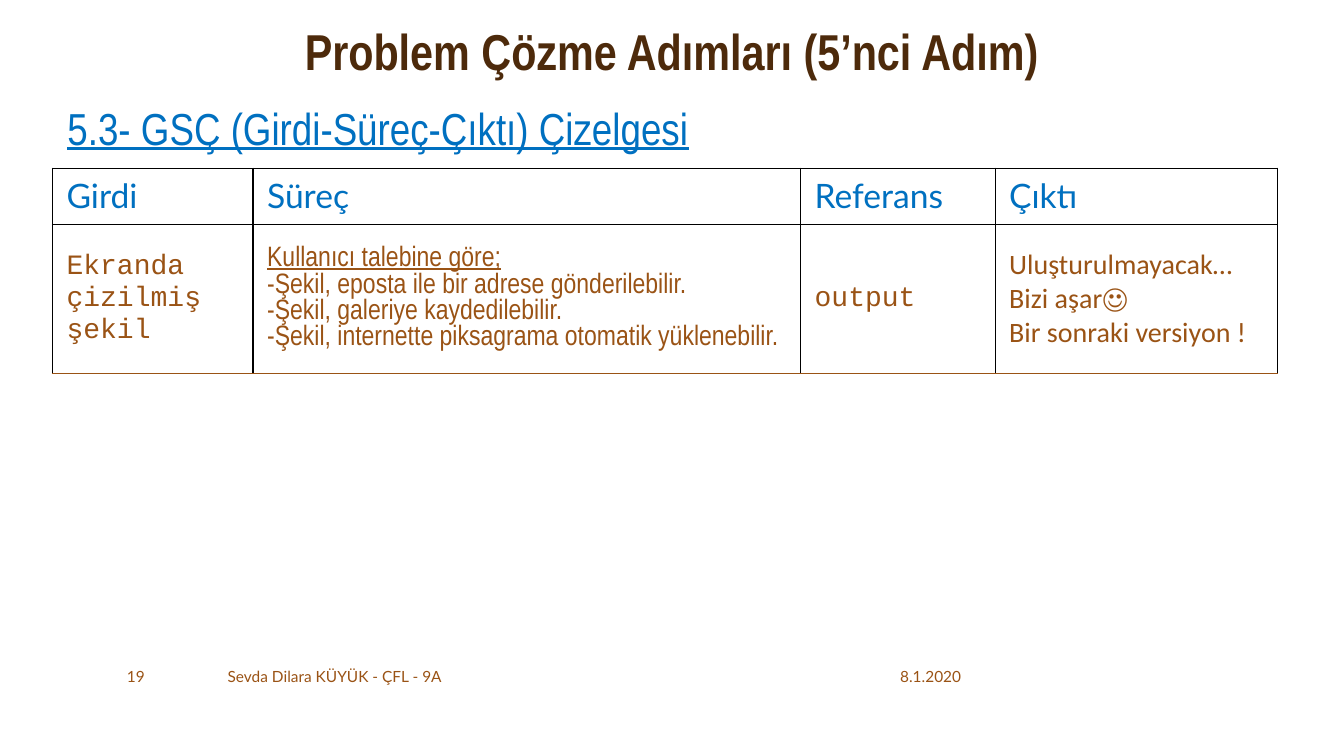
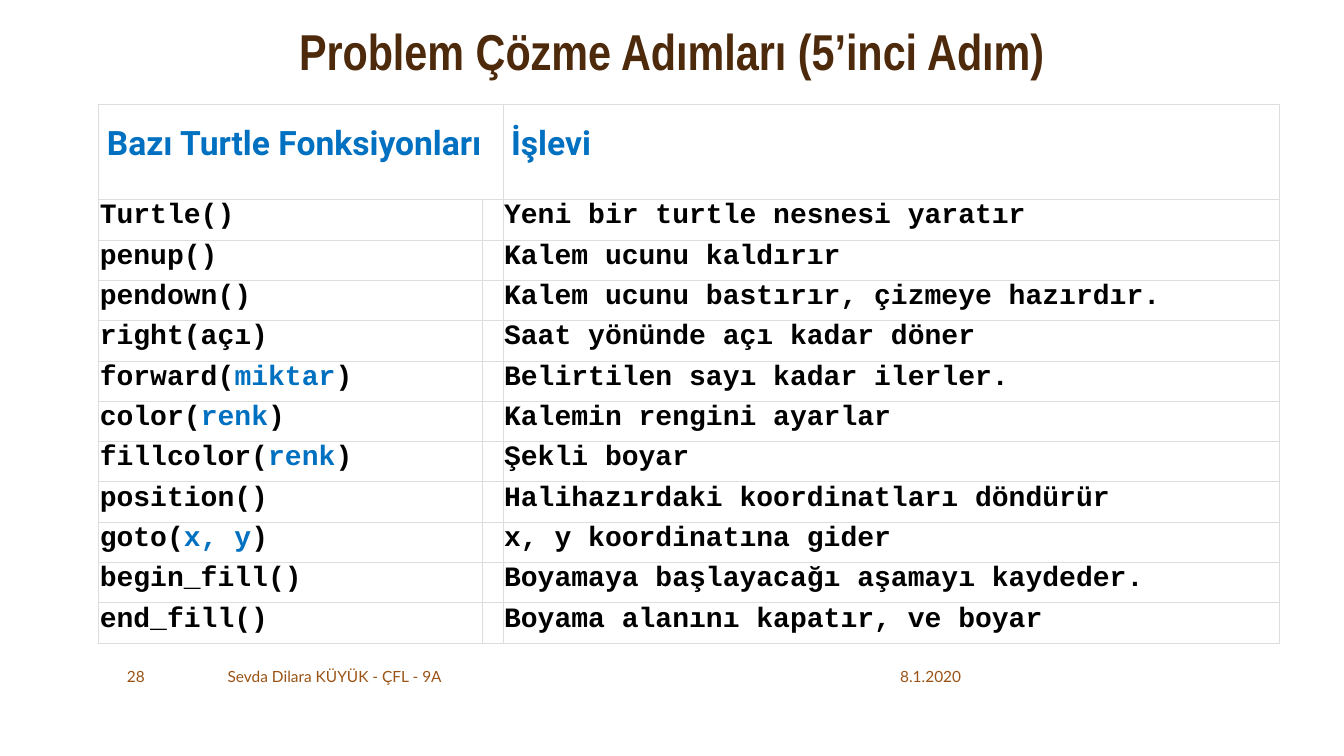
from lxml.etree import SubElement
from pptx import Presentation
from pptx.dml.color import RGBColor
from pptx.enum.text import MSO_ANCHOR as Anchor, PP_ALIGN as Align
from pptx.oxml.ns import qn
from pptx.util import Inches, Pt

COLOURS = {
    "title": "4D2A0B",
    "accent": "0070C0",
    "body": "9A5315",
    "code": "000000",
    "grid": "DDDDDD",
}
STYLES = {
    "title": {"name": "Arial Narrow", "size": Pt(36), "bold": True, "colour": "title"},
    "subtitle": {"name": "Arial Narrow", "size": Pt(32), "underline": True, "colour": "accent"},
    "footer": {"name": "Lato", "size": Pt(11), "colour": "body"},
    "chart_head": {"name": "Lato", "size": Pt(24), "colour": "accent"},
    "mono": {"name": "Courier New", "size": Pt(20), "colour": "body"},
    "narrow": {"name": "Arial Narrow", "size": Pt(20), "colour": "body"},
    "remark": {"name": "Calibri", "size": Pt(20), "colour": "body"},
    "function_head": {"name": "Roboto", "size": Pt(24), "bold": True, "colour": "accent"},
    "code": {"name": "Courier New", "size": Pt(20), "bold": True, "colour": "code"},
}
STYLES["lead"] = STYLES["narrow"] | {"underline": True}
STYLES["argument"] = STYLES["code"] | {"colour": "accent"}

TITLE_BOX = (0, 0.24, 13.33, 0.59)
SUBTITLE_BOX = (0.57, 0.95, 12, 0.72)
FOOTER_BOX = (1.16, 6.58, 9.2, 0.25)
AUTHOR = "Sevda Dilara KÜYÜK - ÇFL - 9A"
DATE = "8.1.2020"

IPO_HEADS = ["Girdi", "Süreç", "Referans", "Çıktı"]
IPO_CELLS = [
    [("Ekranda", "mono"), ("çizilmiş", "mono"), ("şekil", "mono")],
    [
        ("Kullanıcı talebine göre;", "lead"),
        ("-Şekil, eposta ile bir adrese gönderilebilir.", "narrow"),
        ("-Şekil, galeriye kaydedilebilir.", "narrow"),
        ("-Şekil, internette piksagrama otomatik yüklenebilir.", "narrow"),
    ],
    [("output", "mono")],
    [
        ("Uluşturulmayacak…", "remark"),
        ("Bizi aşar☺", "remark"),
        ("Bir sonraki versiyon !", "remark"),
    ],
]
FUNCTIONS = [
    (["Turtle()"], "Yeni bir turtle nesnesi yaratır"),
    (["penup()"], "Kalem ucunu kaldırır"),
    (["pendown()"], "Kalem ucunu bastırır, çizmeye hazırdır."),
    (["right(açı)"], "Saat yönünde açı kadar döner"),
    (["forward(", "miktar", ")"], "Belirtilen sayı kadar ilerler."),
    (["color(", "renk", ")"], "Kalemin rengini ayarlar"),
    (["fillcolor(", "renk", ")"], "Şekli boyar"),
    (["position()"], "Halihazırdaki koordinatları döndürür"),
    (["goto(", "x, y", ")"], "x, y koordinatına gider"),
    (["begin_fill()"], "Boyamaya başlayacağı aşamayı kaydeder."),
    (["end_fill()"], "Boyama alanını kapatır, ve boyar"),
]


def write(frame, paragraphs, **layout):
    for index, pieces in enumerate(paragraphs):
        paragraph = frame.paragraphs[0] if index == 0 else frame.add_paragraph()
        for attribute, value in layout.items():
            setattr(paragraph, attribute, value)
        for text, style in pieces:
            run = paragraph.add_run()
            run.text = text
            for attribute, value in STYLES[style].items():
                if attribute == "colour":
                    run.font.color.rgb = RGBColor.from_string(COLOURS[value])
                else:
                    setattr(run.font, attribute, value)


def add_text(slide, box, text, style, anchor=Anchor.MIDDLE, **layout):
    frame = slide.shapes.add_textbox(*map(Inches, box)).text_frame
    frame.word_wrap = True
    frame.vertical_anchor = anchor
    write(frame, [[(text, style)]], **layout)


def add_footer(slide, box, number):
    left, top, width, height = box
    parts = [(0, 0.83, number), (1, 6.5, AUTHOR), (width - 1.53, 1.53, DATE)]
    for offset, part_width, text in parts:
        add_text(slide, (left + offset, top, part_width, height), text, "footer")


def add_page(deck, title, number):
    slide = deck.slides.add_slide(deck.slide_layouts[6])
    add_text(slide, TITLE_BOX, title, "title", alignment=Align.CENTER, line_spacing=0.9)
    add_footer(slide, FOOTER_BOX, number)
    return slide


def add_grid(slide, origin, widths, heights):
    box = (*origin, sum(widths), sum(heights))
    frame = slide.shapes.add_table(len(heights), len(widths), *map(Inches, box))
    table = frame.table
    table.first_row = table.horz_banding = False
    for column, width in zip(table.columns, widths):
        column.width = Inches(width)
    for row, height in zip(table.rows, heights):
        row.height = Inches(height)
    return table


def format_cell(cell, insets, anchor, borders):
    sides = ("margin_left", "margin_top", "margin_right", "margin_bottom")
    for side, inset in zip(sides, insets):
        setattr(cell, side, Inches(inset))
    cell.vertical_anchor = anchor
    properties = cell._tc.get_or_add_tcPr()
    for side, (colour, width) in zip("LRTB", borders):
        line = SubElement(properties, qn(f"a:ln{side}"), w=str(Pt(width)))
        fill = SubElement(line, qn("a:solidFill"))
        SubElement(fill, qn("a:srgbClr"), val=COLOURS[colour])
    cell.fill.background()


def add_ipo_table(slide, origin):
    table = add_grid(slide, origin, [1.99, 5.43, 1.93, 2.8], [0.56, 1.18])
    insets = (0.14, 0.07, 0.14, 0.07)
    black = ("code", 1)
    for column, (head, lines) in enumerate(zip(IPO_HEADS, IPO_CELLS)):
        head_cell, body_cell = table.cell(0, column), table.cell(1, column)
        format_cell(head_cell, insets, Anchor.TOP, [black] * 4)
        format_cell(body_cell, insets, Anchor.MIDDLE, [black] * 3 + [("body", 1)])
        write(head_cell.text_frame, [[(head, "chart_head")]])
        write(body_cell.text_frame, [[line] for line in lines])


def add_function_table(slide, origin):
    table = add_grid(slide, origin, [3.8, 0.21, 7.7], [0.94] + [0.4] * len(FUNCTIONS))
    for index, row in enumerate(table.rows):
        insets = (0.01,) * 4 if index else (0.08, 0, 0.01, 0.16)
        anchor = Anchor.TOP if index else Anchor.MIDDLE
        for cell in row.cells:
            format_cell(cell, insets, anchor, [("grid", 0.6)] * 4)
    table.cell(0, 0).merge(table.cell(0, 1))
    for column, head in ((0, "Bazı Turtle Fonksiyonları"), (2, "İşlevi")):
        write(table.cell(0, column).text_frame, [[(head, "function_head")]])
    for row, (call, meaning) in enumerate(FUNCTIONS, 1):
        pieces = list(zip(call, ("code", "argument", "code")))
        write(table.cell(row, 0).text_frame, [pieces])
        write(table.cell(row, 2).text_frame, [[(meaning, "code")]])


def build_ipo_slide(deck):
    slide = add_page(deck, "Problem Çözme Adımları (5’nci Adım)", "19")
    add_text(slide, SUBTITLE_BOX, "5.3- GSÇ (Girdi-Süreç-Çıktı) Çizelgesi", "subtitle", Anchor.TOP)
    add_ipo_table(slide, (0.52, 1.67))


def build_function_slide(deck):
    slide = add_page(deck, "Problem Çözme Adımları (5’inci Adım)", "28")
    add_function_table(slide, (0.98, 1.04))


def main():
    deck = Presentation()
    deck.slide_width, deck.slide_height = Inches(13.33), Inches(7.5)
    build_ipo_slide(deck)
    build_function_slide(deck)
    deck.save("out.pptx")


if __name__ == "__main__":
    main()
